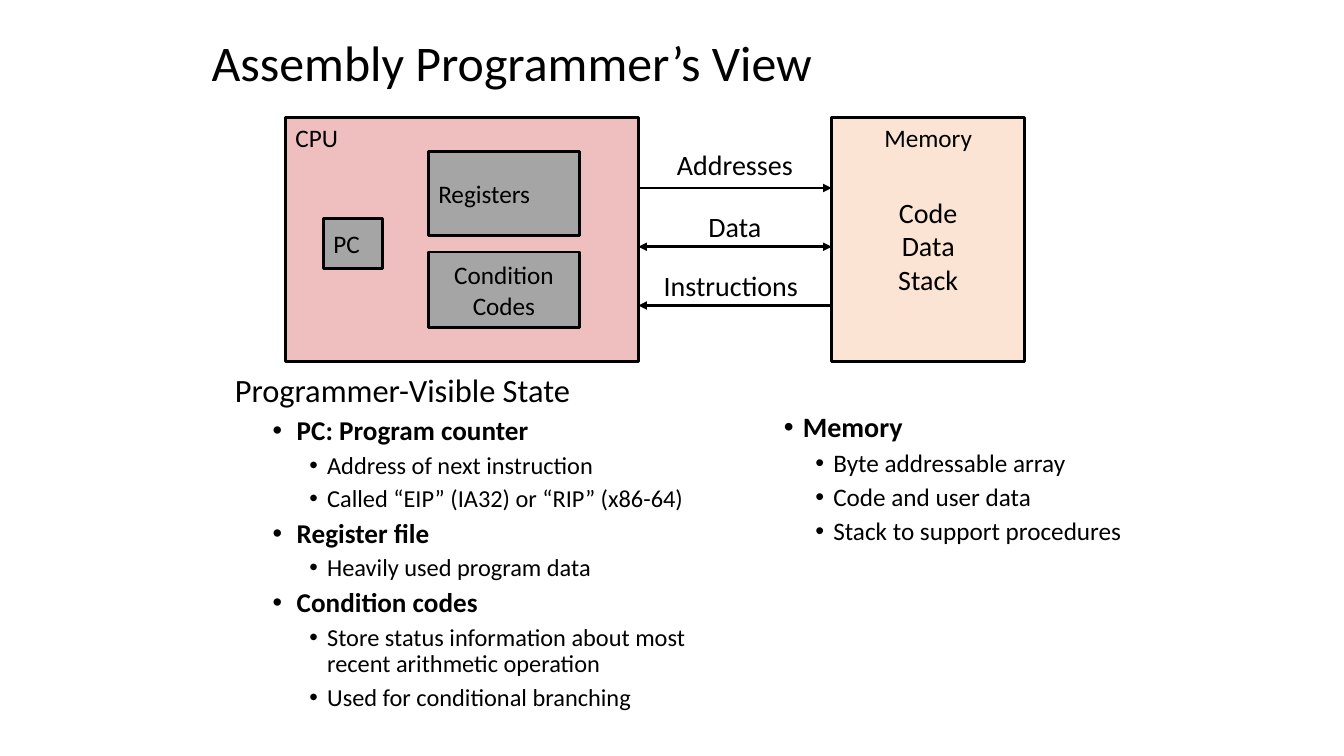
import pptx
import pptx.dml.color
import pptx.enum.shapes
import pptx.enum.text
import pptx.oxml.ns
import pptx.util
from lxml import etree

PX = 9525
FONT = "Calibri"
COLORS = {"ink": "000000", "cpu": "EFBFBF", "part": "A5A5A5", "memory": "FBE4D4"}
ALIGN = pptx.enum.text.PP_ALIGN
ANCHOR = pptx.enum.text.MSO_ANCHOR
qn = pptx.oxml.ns.qn


def rgb(name):
    return pptx.dml.color.RGBColor.from_string(COLORS[name])


def write(shape, text, size, align=ALIGN.LEFT, anchor=ANCHOR.TOP):
    frame = shape.text_frame
    frame.text = text
    frame.word_wrap = True
    frame.vertical_anchor = anchor
    for paragraph in frame.paragraphs:
        paragraph.alignment = align
        for run in paragraph.runs:
            run.font.name = FONT
            run.font.size = pptx.util.Pt(size)
            run.font.color.rgb = rgb("ink")


presentation = pptx.Presentation()
presentation.slide_width = 1280 * PX
presentation.slide_height = 720 * PX
slide = presentation.slides.add_slide(presentation.slide_layouts[3])
title, state_list, memory_list = slide.placeholders

blocks = [
    ("CPU", (272, 112, 336, 232), "cpu", 2.25, ALIGN.LEFT, ANCHOR.TOP),
    ("PC", (308, 208, 56, 48), "part", 2, ALIGN.LEFT, ANCHOR.MIDDLE),
    ("Registers", (408, 144, 144, 80), "part", 2, ALIGN.LEFT, ANCHOR.MIDDLE),
    ("Condition\nCodes", (408, 240, 144, 72), "part", 2, ALIGN.CENTER, ANCHOR.MIDDLE),
    ("Memory", (792, 112, 184, 232), "memory", 2, ALIGN.CENTER, ANCHOR.TOP),
]
for text, box, fill, line_width, align, anchor in blocks:
    shape = slide.shapes.add_shape(
        pptx.enum.shapes.MSO_SHAPE.RECTANGLE, *[value * PX for value in box])
    shape.shadow.inherit = False
    shape.fill.solid()
    shape.fill.fore_color.rgb = rgb(fill)
    shape.line.color.rgb = rgb("ink")
    shape.line.width = pptx.util.Pt(line_width)
    write(shape, text, 18, align, anchor)

labels = [
    ("Code\nData\nStack", (824, 181, 120, 106)),
    ("Addresses", (608, 136, 184, 41)),
    ("Data", (608, 195, 184, 41)),
    ("Instructions", (608, 251, 176, 41)),
]
for text, box in labels:
    label = slide.shapes.add_textbox(*[value * PX for value in box])
    write(label, text, 20, ALIGN.CENTER)

buses = [["tailEnd"], ["headEnd", "tailEnd"], ["headEnd"]]
for index, ends in enumerate(buses):
    y = (179 + 56 * index) * PX
    bus = slide.shapes.add_connector(
        pptx.enum.shapes.MSO_CONNECTOR.STRAIGHT, 608 * PX, y, 792 * PX, y)
    bus.line.color.rgb = rgb("ink")
    bus.line.width = pptx.util.Pt(2)
    line = bus.line._get_or_add_ln()
    for end in ends:
        etree.SubElement(line, qn("a:" + end), type="triangle")
    etree.SubElement(bus._element.spPr, qn("a:effectLst"))

title.left, title.top, title.width, title.height = [
    value * PX for value in (192, 32, 758, 60)]
write(title, "Assembly Programmer’s View", 35.6, anchor=ANCHOR.MIDDLE)
title.text_frame.auto_size = pptx.enum.text.MSO_AUTO_SIZE.NONE
title.text_frame.paragraphs[0].line_spacing = 0.9

state_items = [
    (0, "Programmer-Visible State"),
    (1, "PC: Program counter"),
    (2, "Address of next instruction"),
    (2, "Called “EIP” (IA32) or “RIP” (x86-64)"),
    (1, "Register file"),
    (2, "Heavily used program data"),
    (1, "Condition codes"),
    (2, "Store status information about most recent arithmetic operation"),
    (2, "Used for conditional branching"),
]
memory_items = [
    (1, "Memory"),
    (2, "Byte addressable array"),
    (2, "Code and user data"),
    (2, "Stack to support procedures"),
]
lists = [
    (state_list, (214, 352, 458, 324), state_items,
     {0: (23.2, 24, 24), 1: (19.4, 59, 23), 2: (17.4, 88, 17)}),
    (memory_list, (724, 389, 380, 164), memory_items,
     {1: (20, 31, 18), 2: (18, 60, 17)}),
]
for placeholder, box, items, levels in lists:
    placeholder.left, placeholder.top, placeholder.width, placeholder.height = [
        value * PX for value in box]
    write(placeholder, "\n".join(text for level, text in items), 18)
    placeholder.text_frame.auto_size = pptx.enum.text.MSO_AUTO_SIZE.NONE
    for index, (level, text) in enumerate(items):
        size, margin, hanging = levels[level]
        paragraph = placeholder.text_frame.paragraphs[index]
        paragraph.level = level
        paragraph.line_spacing = 0.9
        paragraph.space_before = pptx.util.Pt(5 if index else 0)
        properties = paragraph._p.get_or_add_pPr()
        properties.set("marL", str(margin * PX))
        properties.set("indent", str(-hanging * PX))
        if level:
            bullet_color = etree.SubElement(properties, qn("a:buClr"))
            etree.SubElement(bullet_color, qn("a:srgbClr"), val=COLORS["ink"])
            etree.SubElement(properties, qn("a:buFont"), typeface="Arial")
            etree.SubElement(properties, qn("a:buChar"), char="•")
        else:
            etree.SubElement(properties, qn("a:buNone"))
        for run in paragraph.runs:
            run.font.size = pptx.util.Pt(size)
            run.font.bold = level == 1

presentation.save("out.pptx")
